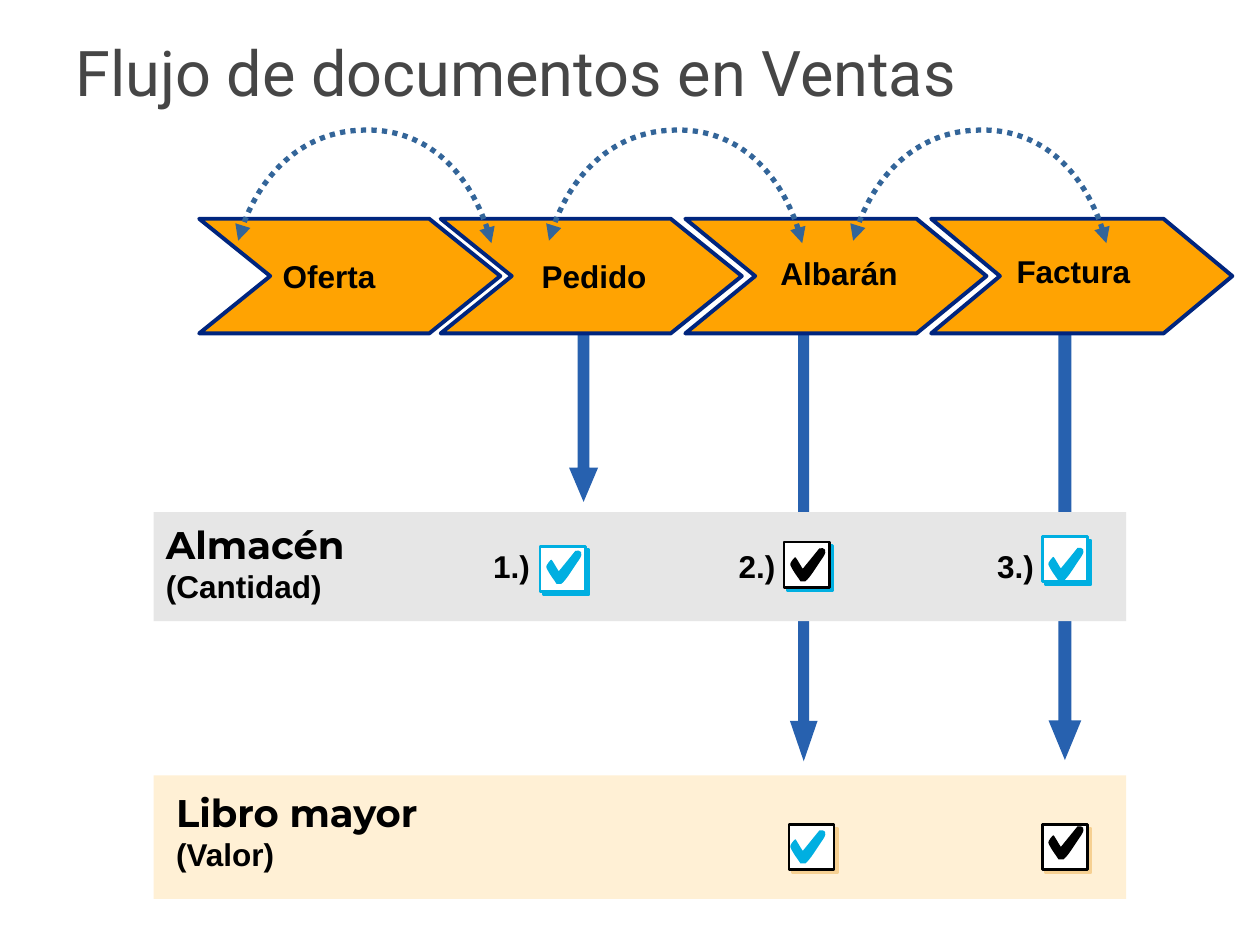
"""Build the slide on the flow of sales documents."""
from lxml import etree
from pptx import Presentation
from pptx.dml.color import RGBColor
from pptx.enum.dml import MSO_LINE
from pptx.enum.shapes import MSO_SHAPE
from pptx.enum.text import MSO_ANCHOR
from pptx.oxml.ns import qn
from pptx.util import Pt

CHEVRON, DOWN_ARROW, RECTANGLE = MSO_SHAPE.CHEVRON, MSO_SHAPE.DOWN_ARROW, MSO_SHAPE.RECTANGLE
MIDDLE, TOP = MSO_ANCHOR.MIDDLE, MSO_ANCHOR.TOP
DOTTED = MSO_LINE.ROUND_DOT
BLACK, CYAN, WHITE = "000000", "00AFE1", "FFFFFF"

presentation = Presentation()
presentation.slide_width, presentation.slide_height = Pt(720), Pt(540)
slide = presentation.slides.add_slide(presentation.slide_layouts[6])
shapes = slide.shapes


def paint(shape, fill=None, line=None, width=1.5):
    shape.shadow.inherit = False
    if fill:
        shape.fill.solid()
        shape.fill.fore_color.rgb = RGBColor.from_string(fill)
    else:
        shape.fill.background()
    if line:
        shape.line.color.rgb = RGBColor.from_string(line)
        shape.line.width = Pt(width)
    else:
        shape.line.fill.background()


def write(text, left, top, width, height=28.8, size=18, font="Arial", color=BLACK,
          bold=True, wrap=False, anchor=TOP, subtitle=None):
    frame = shapes.add_textbox(Pt(left), Pt(top), Pt(width), Pt(height)).text_frame
    frame.word_wrap = wrap
    frame.vertical_anchor = anchor
    lines = [(text, size, font)]
    if subtitle:
        lines.append((subtitle, 18, "Arial"))
    paragraph = frame.paragraphs[0]
    for index, (words, points, face) in enumerate(lines):
        if index:
            paragraph.add_line_break()
        run = paragraph.add_run()
        run.text = words
        run.font.size, run.font.name, run.font.bold = Pt(points), face, bold
        run.font.color.rgb = RGBColor.from_string(color)


write("Flujo de documentos en Ventas", 36, 21.6, 648, 38.2, size=36, font="Roboto",
      color="464646", bold=False, wrap=True, anchor=MIDDLE)

for left, top, width, height, shaft, head in [
    (325.2, 170.9, 16.6, 115.9, 0.4, 1.18),
    (451.4, 190.9, 15.8, 244.1, 0.4, 1.46),
    (599.2, 190.2, 18.7, 244.1, 0.4, 1.21),
]:
    posting = shapes.add_shape(DOWN_ARROW, Pt(left), Pt(top), Pt(width), Pt(height))
    posting.adjustments[0], posting.adjustments[1] = shaft, head
    paint(posting, "2761AF")

for document, left, point, text_left, text_top, text_width in [
    ("Oferta", 113.8, 0.62, 154.4, 143.3, 67.6),
    ("Pedido", 251.8, 0.62, 302.4, 143.3, 74.2),
    ("Albarán", 391.6, 0.61, 438.9, 141.8, 81.4),
    ("Factura", 532.1, 0.6, 573.8, 140.4, 79.9),
]:
    stage = shapes.add_shape(CHEVRON, Pt(left), Pt(125), Pt(172.1), Pt(65.5))
    stage.adjustments[0] = point
    paint(stage, "FFA302", "00257E", 2.25)
    write(document, text_left, text_top, text_width)

for ledger, measure, top, height, color, text_left, text_top, text_width in [
    ("Almacén", "(Cantidad)", 292.6, 62.4, "E6E6E6", 87.8, 294, 141.8),
    ("Libro mayor", "(Valor)", 443.1, 70.6, "FFF0D5", 93.6, 447.1, 193),
]:
    band = shapes.add_shape(RECTANGLE, Pt(87.8), Pt(top), Pt(555.8), Pt(height))
    paint(band, color)
    write(ledger, text_left, text_top, text_width, 55.4, size=22, font="Montserrat",
          wrap=True, subtitle=measure)

for number, left in [("1.)", 274.7), ("2.)", 415), ("3.)", 562.7)]:
    write(number, left, 308.9, 35.3)

for left, top, border, shade in [
    (308.7, 312.2, CYAN, CYAN),
    (448, 309.8, BLACK, CYAN),
    (595.6, 306.5, CYAN, CYAN),
    (450.8, 471.1, BLACK, "F6D092"),
    (595.6, 471.1, BLACK, "F6D092"),
]:
    checkbox = shapes.add_shape(RECTANGLE, Pt(left), Pt(top), Pt(25.9), Pt(25.9))
    paint(checkbox, WHITE, border)
    effects = checkbox._element.spPr.find(qn("a:effectLst"))
    shadow = etree.SubElement(effects, qn("a:outerShdw"), dist=str(Pt(2.8)), dir="2700000",
                              algn="ctr", rotWithShape="0")
    etree.SubElement(shadow, qn("a:srgbClr"), val=shade)

check_curves = [
    (1.4, 3.6), (5, 7.9), (5.8, 9.4),
    (5.8, 9.4), (8.6, 9.4), (8.6, 9.4),
    (11.5, 7.2), (15.1, 0.7), (18.7, -4.3),
    (21.6, -8.6), (19.4, -10.1), (16.6, -9.4),
    (13.7, -5.8), (7.2, 2.2), (7.2, 2.2),
    (7.2, 2.9), (2.9, -5), (2.9, -4.3),
    (2.9, -5), (-0.7, -0.7), (0, 0),
]
link_curves = [
    (-9.4, -38.9), (-38.8, -66), (-73.4, -64.6),
    (-106, -64), (-135, -38), (-144.7, -1.4),
]
checks = [(312.2, 324.2, CYAN), (451.6, 322.8, BLACK), (599.1, 322.6, CYAN),
          (451.6, 484, CYAN), (599.1, 481.7, BLACK)]
links = [(left, 139, None) for left in (280.8, 458.4, 632.2)]

for curves, starts in [(check_curves, checks), (link_curves, links)]:
    for left, top, color in starts:
        builder = shapes.build_freeform(Pt(left), Pt(top))
        builder.add_line_segments([(Pt(left + x), Pt(top + y)) for x, y in curves],
                                  close=color is not None)
        outline = builder.convert_to_shape()
        segments = list(outline._element.iter(qn("a:lnTo")))
        for first in range(0, len(segments), 3):
            curve = etree.Element(qn("a:cubicBezTo"))
            segments[first].addprevious(curve)
            for segment in segments[first:first + 3]:
                curve.append(segment[0])
                segment.getparent().remove(segment)
        if color:
            paint(outline, color)
        else:
            paint(outline, line="336599", width=3)
            outline.line.dash_style = DOTTED
            stroke = outline._element.spPr.find(qn("a:ln"))
            for end in ("a:headEnd", "a:tailEnd"):
                etree.SubElement(stroke, qn(end), type="triangle")

presentation.save("out.pptx")
